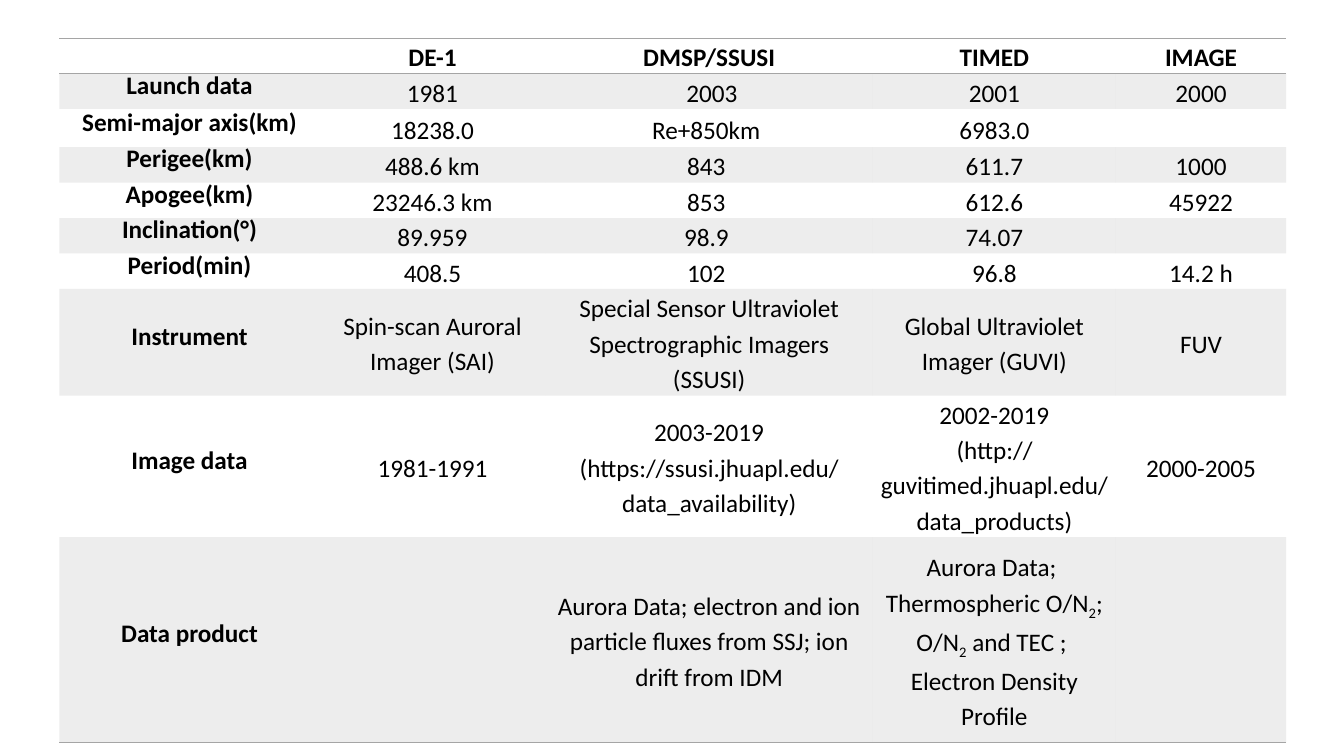
from lxml import etree
from pptx import Presentation
from pptx.dml.color import RGBColor
from pptx.enum.text import MSO_ANCHOR, PP_ALIGN
from pptx.oxml.ns import qn
from pptx.util import Pt

CENTER = PP_ALIGN.CENTER
MIDDLE = MSO_ANCHOR.MIDDLE
COLORS = {"text": "000000", "gray": "A5A5A5"}
PLAIN_TABLE_STYLE = "{2D5ABB26-0587-4C30-8999-92F81FD0307C}"
BAND_ALPHA = "20000"
SUBSCRIPT = "-25000"

COLUMN_WIDTHS = [185.8, 161.3, 234, 173.5, 121.7]
ROW_HEIGHTS = [23, 23, 27.4, 23, 23, 23, 23, 76.3, 96.5, 146.9]
SATELLITE_ROWS = [
    ["", "DE-1", "DMSP/SSUSI", "TIMED", "IMAGE"],
    ["Launch data", "1981", " 2003", "2001", "2000"],
    ["Semi-major axis(km)", "18238.0", "Re+850km ", "6983.0", ""],
    ["Perigee(km)", "488.6 km", "843 ", "611.7", "1000"],
    ["Apogee(km)", "23246.3 km", "853 ", "612.6", "45922"],
    ["Inclination(°)", "89.959", "98.9 ", "74.07", ""],
    ["Period(min)", "408.5", "102 ", "96.8", "14.2 h"],
    ["Instrument", "Spin-scan Auroral Imager (SAI)",
     "Special Sensor Ultraviolet Spectrographic Imagers (SSUSI)",
     "Global Ultraviolet Imager (GUVI)", "FUV"],
    ["Image data", "1981-1991",
     "2003-2019\n(https://ssusi.jhuapl.edu/data_availability)",
     "2002-2019\n(http://guvitimed.jhuapl.edu/data_products)", "2000-2005"],
    ["Data product", "",
     "Aurora Data; electron and ion particle fluxes from SSJ; ion drift from IDM",
     "Aurora Data; \n Thermospheric O/N|2|; \nO/N|2| and TEC ; \n"
     "Electron Density Profile", ""],
]


class SlideBuilder:
    """Draws styled tables on one slide."""

    def __init__(self, slide, font="Calibri", size=18):
        self.slide = slide
        self.font = font
        self.size = size

    def add_table(self, left, top, widths, heights, rows):
        frame = self.slide.shapes.add_table(
            len(rows), len(widths), Pt(left), Pt(top), Pt(sum(widths)), Pt(sum(heights)))
        table = frame.table
        table.horz_banding = False
        table._tbl.tblPr.find(qn("a:tableStyleId")).text = PLAIN_TABLE_STYLE
        for column, width in zip(table.columns, widths):
            column.width = Pt(width)
        for row, height in zip(table.rows, heights):
            row.height = Pt(height)
        last = len(rows) - 1
        for row_index, texts in enumerate(rows):
            for column_index, text in enumerate(texts):
                cell = table.cell(row_index, column_index)
                is_label = column_index == 0
                self.write_cell(cell, text, row_index == 0 or is_label, is_label)
                if row_index == 0:
                    self.add_border(cell, "a:lnT")
                if row_index in (0, last):
                    self.add_border(cell, "a:lnB")
                self.fill_cell(cell, row_index % 2 == 1)

    def write_cell(self, cell, text, bold, is_label):
        cell.vertical_anchor = MIDDLE
        cell.margin_left = cell.margin_right = Pt(5)
        cell.margin_top = cell.margin_bottom = 0
        cell.text_frame.text = text.replace("|", "")
        for paragraph, line in zip(cell.text_frame.paragraphs, text.split("\n")):
            paragraph.alignment = CENTER
            paragraph.line_spacing = Pt(13.8) if is_label else 1.15
            if "|" in line:
                self.split_runs(paragraph, line.split("|"))
            for run in paragraph.runs:
                run.font.name = self.font
                run.font.size = Pt(self.size)
                run.font.bold = bold
                run.font.color.rgb = RGBColor.from_string(COLORS["text"])

    def split_runs(self, paragraph, pieces):
        paragraph.text = pieces[0]
        for index, piece in enumerate(pieces[1:], 1):
            run = paragraph.add_run()
            run.text = piece
            if index % 2 == 1:
                run.font._element.set("baseline", SUBSCRIPT)

    def add_border(self, cell, tag):
        properties = cell._tc.get_or_add_tcPr()
        line = etree.SubElement(properties, qn(tag), w=str(Pt(1)))
        fill = etree.SubElement(line, qn("a:solidFill"))
        etree.SubElement(fill, qn("a:srgbClr"), val=COLORS["gray"])

    def fill_cell(self, cell, banded):
        if not banded:
            cell.fill.background()
            return
        cell.fill.solid()
        cell.fill.fore_color.rgb = RGBColor.from_string(COLORS["gray"])
        color = cell._tc.tcPr.find(qn("a:solidFill")).find(qn("a:srgbClr"))
        etree.SubElement(color, qn("a:alpha"), val=BAND_ALPHA)


def main():
    presentation = Presentation()
    presentation.slide_width = Pt(960)
    presentation.slide_height = Pt(540)
    slide = presentation.slides.add_slide(presentation.slide_layouts[6])
    builder = SlideBuilder(slide)
    builder.add_table(42.5, 27.2, COLUMN_WIDTHS, ROW_HEIGHTS, SATELLITE_ROWS)
    presentation.save("out.pptx")


if __name__ == "__main__":
    main()
